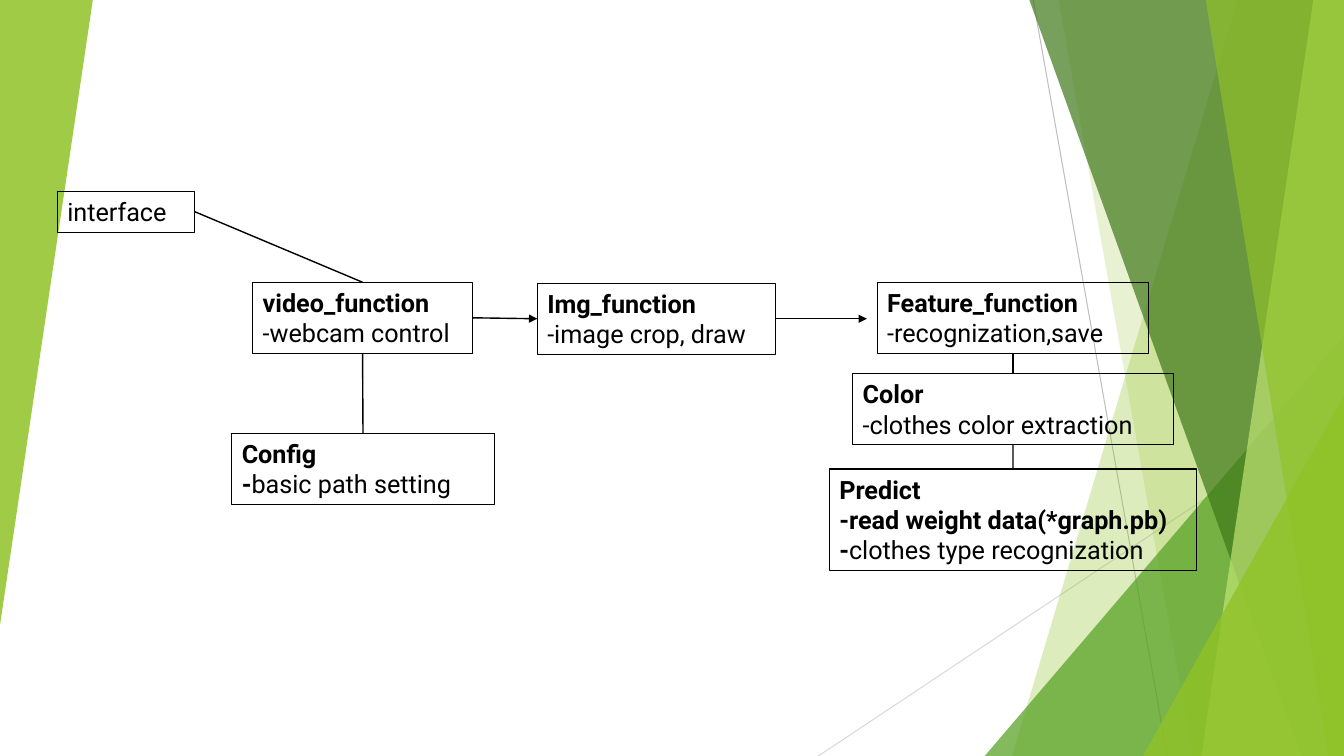
import dataclasses

import pptx
import pptx.dml.color
import pptx.enum.shapes
import pptx.enum.text
import pptx.oxml
import pptx.oxml.ns
import pptx.util
from lxml import etree

Pt = pptx.util.Pt
SHAPE = pptx.enum.shapes.MSO_SHAPE
TOP, LEFT, BOTTOM, RIGHT = range(4)  # connection sites of a rectangle
WIDTH, HEIGHT = 960, 540


@dataclasses.dataclass(frozen=True)
class Theme:
    font: str = "Roboto"
    size: float = 18
    ink: str = "000000"
    lime: str = "90C226"
    green: str = "54A021"
    forest: str = "3F7819"
    pale: str = "C0E474"
    ray: str = "BFBFBF"
    light_ray: str = "D9D9D9"
    outline: float = 0.75
    link: float = 1
    inset: float = 3.6
    text_line: float = 21.8


def rgb(value):
    return pptx.dml.color.RGBColor.from_string(value)


def add_child(parent, tag, **attributes):
    return etree.SubElement(parent, pptx.oxml.ns.qn(tag), **attributes)


class Slide:
    def __init__(self, prs, theme):
        self.theme = theme
        self.shapes = prs.slides.add_slide(prs.slide_layouts[6]).shapes

    def tint(self, sp, color, opacity):
        """Fill a shape without outline; opacity is a percentage."""
        sp.shadow.inherit = False
        sp.line.fill.background()
        sp.fill.solid()
        sp.fill.fore_color.rgb = rgb(color)
        clr = sp._element.spPr.find(".//" + pptx.oxml.ns.qn("a:srgbClr"))
        add_child(clr, "a:alpha", val=str(opacity * 1000))

    def band(self, top_x, bottom_x, color, opacity):
        """Fill everything right of a slanted edge, down the whole slide."""
        top = -0.6
        corners = [(WIDTH, top), (WIDTH, HEIGHT), (bottom_x, HEIGHT)]
        builder = self.shapes.build_freeform(Pt(top_x), Pt(top))
        builder.add_line_segments([(Pt(x), Pt(y)) for x, y in corners])
        self.tint(builder.convert_to_shape(), color, opacity)

    def triangle(self, x, y, w, h, color, opacity, rotation=0):
        sp = self.shapes.add_shape(SHAPE.ISOSCELES_TRIANGLE, Pt(x), Pt(y), Pt(w), Pt(h))
        sp.adjustments[0] = 1
        sp.rotation = rotation
        self.tint(sp, color, opacity)

    def line(self, x1, y1, x2, y2, color, width):
        cxn = self.shapes.add_connector(
            pptx.enum.shapes.MSO_CONNECTOR.STRAIGHT, Pt(x1), Pt(y1), Pt(x2), Pt(y2))
        cxn.line.color.rgb = rgb(color)
        cxn.line.width = Pt(width)
        add_child(cxn._element.spPr, "a:effectLst")
        return cxn

    def link(self, start, start_site, end=None, end_site=None, end_at=(0, 0), arrow=False):
        """Join two boxes, or run from one box to the point end_at."""
        cxn = self.line(0, 0, *end_at, self.theme.ink, self.theme.link)
        cxn.begin_connect(start, start_site)
        if end is not None:
            cxn.end_connect(end, end_site)
        if arrow:
            add_child(cxn.line._get_or_add_ln(), "a:tailEnd", type="triangle")

    def box(self, x, y, w, lines):
        """Outlined box; each line is a pair of bold text and regular text."""
        t = self.theme
        h = 2 * t.inset + t.text_line * len(lines)
        sp = self.shapes.add_shape(SHAPE.RECTANGLE, Pt(x), Pt(y), Pt(w), Pt(h))
        sp.shadow.inherit = False
        sp.fill.background()
        sp.line.color.rgb = rgb(t.ink)
        sp.line.width = Pt(t.outline)
        tf = sp.text_frame
        tf.word_wrap = True
        tf.auto_size = pptx.enum.text.MSO_AUTO_SIZE.SHAPE_TO_FIT_TEXT
        tf.vertical_anchor = pptx.enum.text.MSO_ANCHOR.TOP
        for i, line in enumerate(lines):
            p = tf.add_paragraph() if i else tf.paragraphs[0]
            p.alignment = pptx.enum.text.PP_ALIGN.LEFT
            p.font.name = t.font
            p.font.size = Pt(t.size)
            p.font.color.rgb = rgb(t.ink)
            for text, bold in zip(line, (True, False)):
                if text:
                    r = p.add_run()
                    r.text = text
                    r.font.bold = bold
        return sp


def draw_backdrop(s):
    t = s.theme
    s.line(738, 0, 833.8, HEIGHT, t.ray, t.outline)
    s.line(WIDTH, 290.2, 584.6, HEIGHT, t.light_ray, t.outline)
    s.band(884.2, 722.9, t.lime, 30)
    s.band(756, 851.8, t.lime, 20)
    s.triangle(703.4, 239.8, 256.6, 300.2, t.green, 72)
    s.band(735.1, 929.5, t.forest, 70)
    s.band(938.2, 858.2, t.pale, 70)
    s.band(861.1, 949, t.lime, 65)
    s.triangle(816.5, 283, 143.5, 257, t.lime, 80)
    s.triangle(0, 0, 66.3, 446.4, t.lime, 85, rotation=180)


def draw_modules(s):
    video = s.box(180.5, 201.6, 157, [("video_function", ""), ("", "-webcam control")])
    img = s.box(383.8, 202.3, 170, [("Img_function", ""), ("", "-image crop, draw")])
    predict = s.box(592.4, 335, 262.4, [
        ("Predict", ""), ("-read weight data(*graph.pb)", ""),
        ("-", "clothes type recognization")])
    color = s.box(609.1, 267, 229, [("Color", ""), ("", "-clothes color extraction")])
    config = s.box(165.6, 309.6, 187.4, [("Config", ""), ("-", "basic path setting")])
    feature = s.box(626.6, 201.6, 194, [("Feature_function", ""), ("", "-recognization,save")])
    interface = s.box(41, 136.8, 98.3, [("", "interface")])

    s.link(video, RIGHT, img, LEFT, arrow=True)
    s.link(img, RIGHT, end_at=(619.2, 227.7), arrow=True)
    s.link(video, BOTTOM, config, TOP)
    s.link(feature, BOTTOM, color, TOP)
    s.link(color, BOTTOM, predict, TOP)
    s.link(interface, RIGHT, video, TOP)


def main():
    prs = pptx.Presentation()
    prs.slide_width, prs.slide_height = Pt(WIDTH), Pt(HEIGHT)
    s = Slide(prs, Theme())
    draw_backdrop(s)
    draw_modules(s)
    prs.save("out.pptx")


if __name__ == "__main__":
    main()
